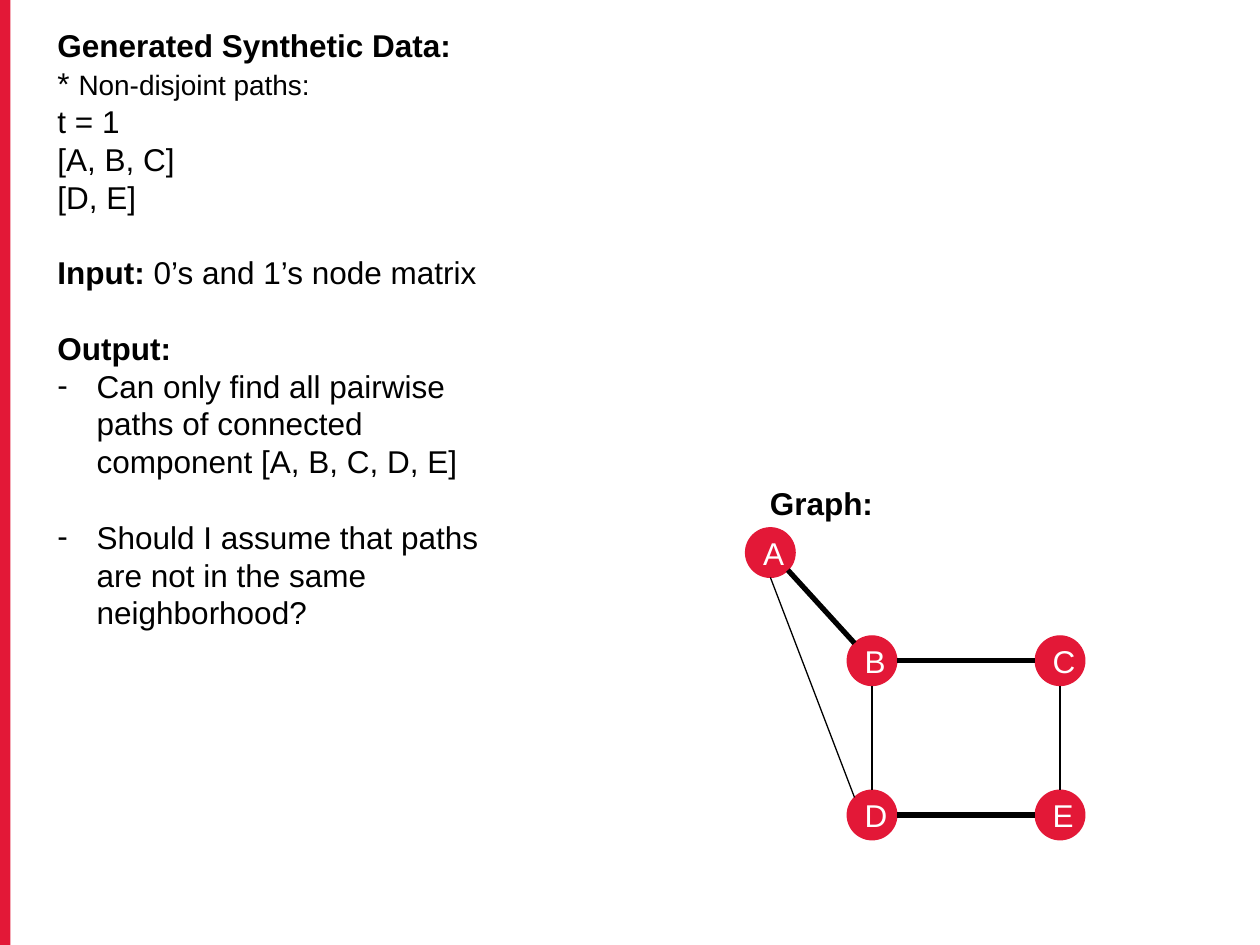
"""Build a slide that pairs notes on synthetic paths with a small graph."""
from dataclasses import dataclass
from math import cos, radians, sin

from lxml import etree
from pptx import Presentation
from pptx import util as u
from pptx.dml.color import RGBColor
from pptx.enum import shapes, text
from pptx.oxml import ns


@dataclass(frozen=True)
class Theme:
    """Colours, font and sizes of the slide."""
    red: RGBColor = RGBColor(0xE3, 0x18, 0x37)
    black: RGBColor = RGBColor(0, 0, 0)
    white: RGBColor = RGBColor(255, 255, 255)
    font: str = "Arial"
    body: float = 18
    small: float = 16
    leading: float = 21.6
    thin: float = 0.75
    thick: float = 3


THEME = Theme()
NODE_SIZE = 1.0
NODES = {
    "B": (17.58, 13.32),
    "A": (15.53, 11.14),
    "C": (21.37, 13.32),
    "E": (21.37, 16.43),
    "D": (17.58, 16.43),
}
RIGHT, DOWN_RIGHT, DOWN, LEFT, UP_LEFT, UP = 0, 45, 90, 180, 225, 270
EDGES = [
    ("B", RIGHT, "C", LEFT, THEME.thick),
    ("D", UP, "B", DOWN, THEME.thin),
    ("C", DOWN, "E", UP, THEME.thin),
    ("D", RIGHT, "E", LEFT, THEME.thick),
    ("A", DOWN_RIGHT, "B", UP_LEFT, THEME.thick),
    ("D", UP_LEFT, "A", DOWN, THEME.thin),
]
PLAIN, BOLD = False, True
NOTES = [
    ([("Generated Synthetic Data:", BOLD, THEME.body)], False, False),
    ([("* ", PLAIN, THEME.body),
      ("Non-disjoint paths:", PLAIN, THEME.small)], False, False),
    ([("t = 1", PLAIN, THEME.body)], False, False),
    ([("[A, B, C]", PLAIN, THEME.body)], False, False),
    ([("[D, E]", PLAIN, THEME.body)], False, False),
    ([("Input: ", BOLD, THEME.body),
      ("0’s and 1’s node matrix", PLAIN, THEME.body)], True, False),
    ([("Output:", BOLD, THEME.body)], True, False),
    ([("Can only find all pairwise paths of connected component [A, B, C, D, E]",
       PLAIN, THEME.body)], False, True),
    ([("Should I assume that paths are not in the same neighborhood?",
       PLAIN, THEME.body)], True, True),
]


def add_span(para, words, color, bold=False, size=THEME.body):
    """Append one formatted run to a paragraph."""
    span = para.add_run()
    span.text = words
    span.font.name = THEME.font
    span.font.size = u.Pt(size)
    span.font.bold = bold
    span.font.color.rgb = color


def add_dash(para):
    """Give a paragraph a dash bullet with a hanging indent."""
    properties = para._p.get_or_add_pPr()
    indent = u.Cm(0.79)
    properties.set("marL", str(indent))
    properties.set("indent", str(-indent))
    etree.SubElement(properties, ns.qn("a:buFont"), typeface=THEME.font)
    etree.SubElement(properties, ns.qn("a:buChar"), char="-")


def add_notes(page, left, top, width, height, notes):
    """Add a text box holding the given paragraphs."""
    box = page.shapes.add_textbox(u.Cm(left), u.Cm(top), u.Cm(width), u.Cm(height))
    frame = box.text_frame
    frame.word_wrap = True
    for index, (spans, gap, dashed) in enumerate(notes):
        para = frame.add_paragraph() if index else frame.paragraphs[0]
        if dashed:
            add_dash(para)
        para.line_spacing = u.Pt(THEME.leading)
        if gap:
            para.space_before = u.Pt(THEME.leading)
        for words, bold, size in spans:
            add_span(para, words, THEME.black, bold, size)


def add_solid(page, kind, left, top, width, height):
    """Add a red preset shape without shadow."""
    shape = page.shapes.add_shape(
        kind, u.Cm(left), u.Cm(top), u.Cm(width), u.Cm(height))
    shape.shadow.inherit = False
    shape.fill.solid()
    shape.fill.fore_color.rgb = THEME.red
    return shape


def add_node(page, name):
    """Add a labelled graph node around its centre."""
    x, y = NODES[name]
    node = add_solid(page, shapes.MSO_SHAPE.OVAL, x - NODE_SIZE / 2,
                     y - NODE_SIZE / 2, NODE_SIZE, NODE_SIZE)
    node.line.color.rgb = THEME.red
    node.line.width = u.Pt(THEME.thin)
    frame = node.text_frame
    frame.vertical_anchor = text.MSO_ANCHOR.MIDDLE
    for side in ("left", "right", "top", "bottom"):
        setattr(frame, f"margin_{side}", u.Cm(0.5))
    para = frame.paragraphs[0]
    para.alignment = text.PP_ALIGN.CENTER
    add_span(para, name, THEME.white)


def rim_point(name, angle):
    """Return the point on a node's rim at a clockwise angle."""
    x, y = NODES[name]
    radius = NODE_SIZE / 2
    return (u.Cm(x + radius * cos(radians(angle))),
            u.Cm(y + radius * sin(radians(angle))))


def add_edge(page, start, start_angle, end, end_angle, weight):
    """Join two nodes with a straight line."""
    edge = page.shapes.add_connector(
        shapes.MSO_CONNECTOR.STRAIGHT,
        *rim_point(start, start_angle), *rim_point(end, end_angle))
    edge.line.color.rgb = THEME.black
    edge.line.width = u.Pt(weight)
    etree.SubElement(edge._element.spPr, ns.qn("a:effectLst"))


def main():
    """Build and save the deck."""
    deck = Presentation()
    deck.slide_width, deck.slide_height = u.Cm(25.4), u.Cm(19.05)
    page = deck.slides.add_slide(deck.slide_layouts[6])
    bar = add_solid(page, shapes.MSO_SHAPE.RECTANGLE, 0, 0, 0.21, 19.05)
    bar.line.fill.background()
    add_notes(page, 0.91, 0.41, 9.6, 14.88, NOTES)
    for name in NODES:
        add_node(page, name)
    for edge in EDGES:
        add_edge(page, *edge)
    add_notes(page, 15.27, 9.63, 8.53, 1.02,
              [([("Graph:", BOLD, THEME.body)], False, False)])
    deck.save("out.pptx")


if __name__ == "__main__":
    main()
